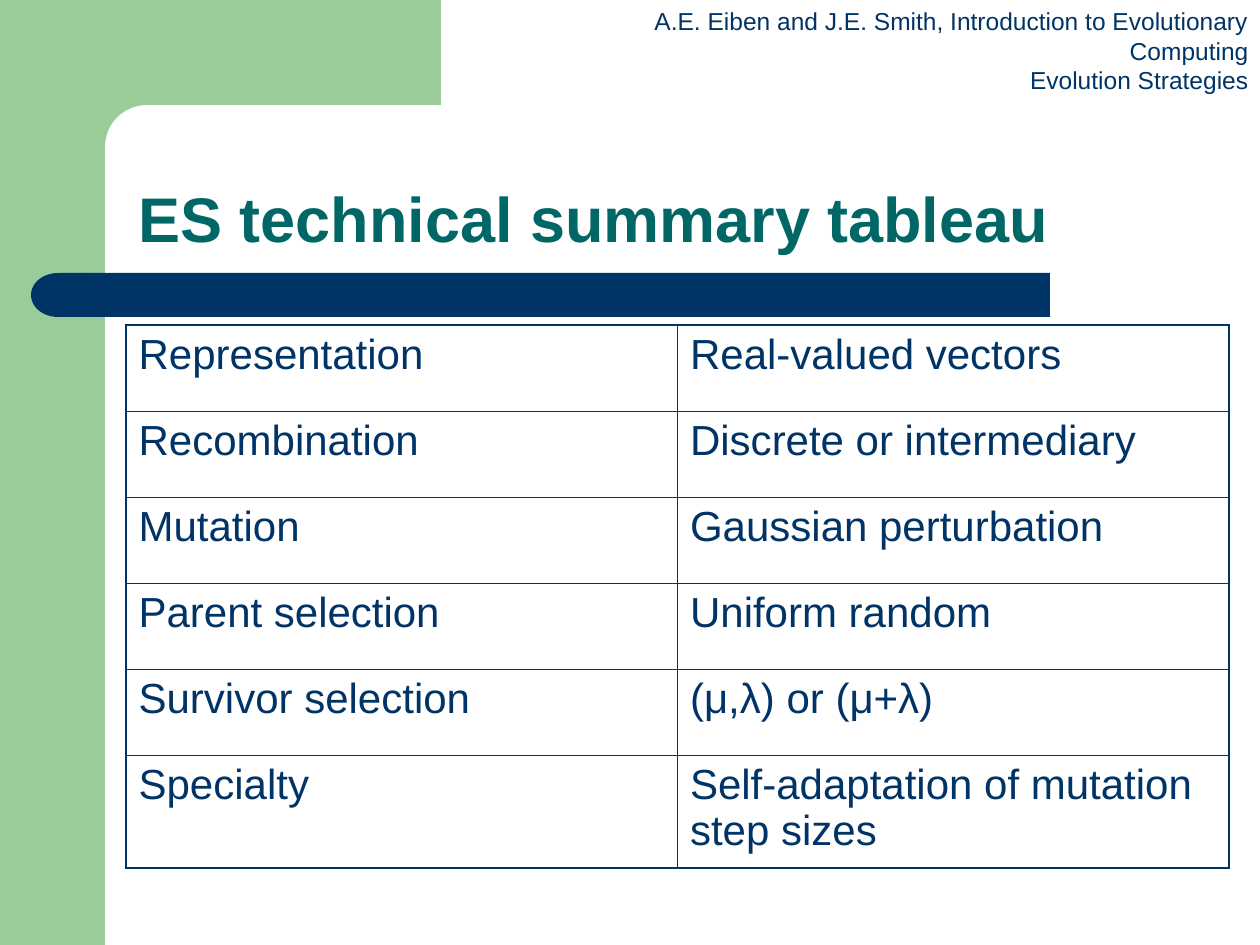
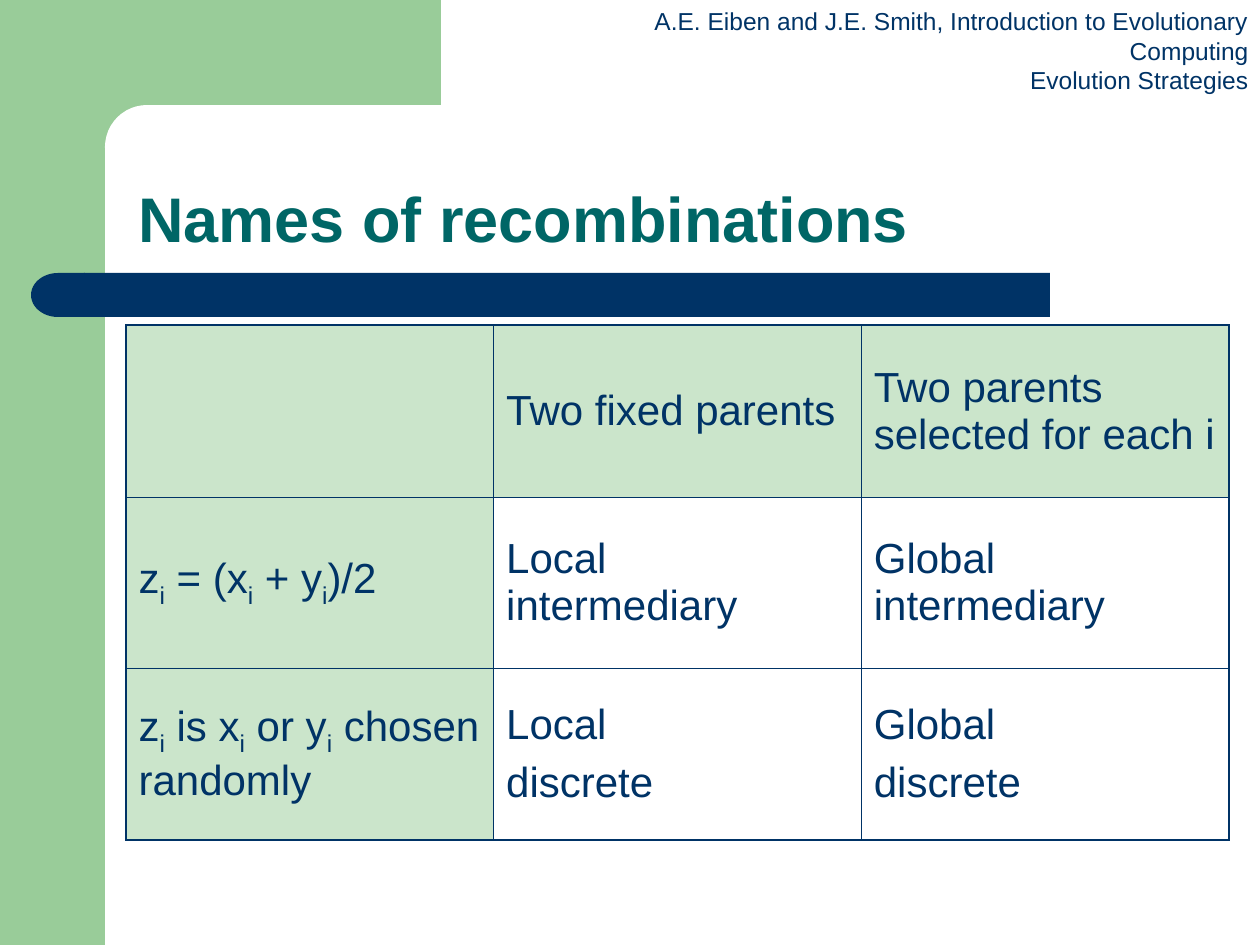
from dataclasses import dataclass

from lxml import etree
from pptx import Presentation
from pptx import util as u
from pptx.dml import color
from pptx.enum import shapes, text
from pptx.oxml import ns

PX = 914400 / 126  # EMU in one px


@dataclass(frozen=True)
class Theme:
    green: str = "99CC99"
    navy: str = "003366"
    teal: str = "006666"
    white: str = "FFFFFF"
    font: str = "Arial"
    title_size: int = 36
    table_size: int = 24
    header_size: int = 14
    outer_line: float = 1.08
    inner_line: float = 0.45


THEME = Theme()
HEADER = "A.E. Eiben and J.E. Smith, Introduction to Evolutionary Computing\nEvolution Strategies"
TABLE_LEFT, TABLE_TOP, TABLE_WIDTH = 126, 325, 1103

SUMMARY = [
    ("Representation", "Real-valued vectors"),
    ("Recombination", "Discrete or intermediary"),
    ("Mutation", "Gaussian perturbation"),
    ("Parent selection", "Uniform random"),
    ("Survivor selection", "(μ,λ) or (μ+λ)"),
    ("Specialty", "Self-adaptation of mutation step sizes"),
]
# An underscore makes the next letter a subscript
RECOMBINATIONS = [
    ("", "Two fixed parents", "Two parents selected for each i"),
    ("z_i = (x_i + y_i)/2", "Local intermediary", "Global intermediary"),
    ("z_i is x_i or y_i chosen randomly", "Local\ndiscrete", "Global\ndiscrete"),
]


def emu(px):
    return u.Emu(round(px * PX))


def rgb(value):
    return color.RGBColor.from_string(value)


def style_runs(paragraph, size, ink, bold=False):
    for run in paragraph.runs:
        run.font.name = THEME.font
        run.font.size = u.Pt(size)
        run.font.bold = bold
        run.font.color.rgb = rgb(ink)


# Shapes and text boxes
def add_block(slide, kind, box, fill, corner=None, rotation=0):
    shape = slide.shapes.add_shape(kind, *map(emu, box))
    shape.shadow.inherit = False
    shape.fill.solid()
    shape.fill.fore_color.rgb = rgb(fill)
    shape.line.fill.background()
    shape.rotation = rotation
    if corner is not None:
        shape.adjustments[0] = corner


def add_text(slide, box, words, size, ink, bold=False, wrap=True,
             align=text.PP_ALIGN.LEFT, anchor=text.MSO_ANCHOR.TOP, spacing=1.0):
    frame = slide.shapes.add_textbox(*map(emu, box)).text_frame
    frame.word_wrap = wrap
    frame.vertical_anchor = anchor
    frame.text = words
    for paragraph in frame.paragraphs:
        paragraph.alignment = align
        paragraph.line_spacing = spacing
        style_runs(paragraph, size, ink, bold)


# Tables
def add_border(cell, side, width):
    properties = cell._tc.get_or_add_tcPr()
    line = etree.SubElement(properties, ns.qn(f"a:ln{side}"), w=str(u.Pt(width)))
    fill = etree.SubElement(line, ns.qn("a:solidFill"))
    etree.SubElement(fill, ns.qn("a:srgbClr"), val=THEME.navy)


def fill_cell(cell, tinted):
    if not tinted:
        cell.fill.background()
        return
    cell.fill.solid()
    cell.fill.fore_color.rgb = rgb(THEME.green)
    fill = cell._tc.tcPr.find(ns.qn("a:solidFill"))
    etree.SubElement(fill[0], ns.qn("a:alpha"), val="50000")


def write_cell(cell, words):
    frame = cell.text_frame
    for index, line in enumerate(words.split("\n")):
        paragraph = frame.add_paragraph() if index else frame.paragraphs[0]
        if index:
            paragraph.space_before = u.Pt(6)
        plain, *marked = line.split("_")
        pieces = [(plain, False)]
        for part in marked:
            pieces += [(part[0], True), (part[1:], False)]
        for piece, lowered in pieces:
            if piece:
                run = paragraph.add_run()
                run.text = piece
                if lowered:
                    run.font._element.set("baseline", "-25000")
        style_runs(paragraph, THEME.table_size, THEME.navy)


def add_grid(slide, rows, heights, anchor, tinted_headings=False):
    row_count, column_count = len(rows), len(rows[0])
    box = TABLE_LEFT, TABLE_TOP, TABLE_WIDTH, sum(heights)
    table = slide.shapes.add_table(row_count, column_count, *map(emu, box)).table
    table.first_row = table.horz_banding = False
    for column in table.columns:
        column.width = emu(TABLE_WIDTH / column_count)
    for r, (height, row) in enumerate(zip(heights, rows)):
        table.rows[r].height = emu(height)
        for c, words in enumerate(row):
            cell = table.cell(r, c)
            cell.vertical_anchor = anchor
            outer = {"L": c == 0, "R": c == column_count - 1,
                     "T": r == 0, "B": r == row_count - 1}
            for side, is_outer in outer.items():
                add_border(cell, side, THEME.outer_line if is_outer else THEME.inner_line)
            fill_cell(cell, tinted_headings and (r == 0 or c == 0))
            write_cell(cell, words)


# Shared frame of every slide
def add_framed_slide(presentation, title):
    slide = presentation.slides.add_slide(presentation.slide_layouts[6])
    kinds = shapes.MSO_SHAPE
    add_block(slide, kinds.RECTANGLE, (0, 0, 105, 945), THEME.green)
    add_block(slide, kinds.RECTANGLE, (94, 0, 347, 147), THEME.green)
    add_block(slide, kinds.ROUNDED_RECTANGLE, (105, 105, 703, 84), THEME.white, corner=0.5)
    add_block(slide, kinds.ROUNDED_RECTANGLE, (84, 273, 966, 44), THEME.navy, corner=0)
    add_block(slide, kinds.FLOWCHART_DELAY, (31, 273, 54, 44), THEME.navy, rotation=180)
    add_text(slide, (517, 0, 744, 72), HEADER, THEME.header_size, THEME.navy,
             wrap=False, align=text.PP_ALIGN.RIGHT)
    add_text(slide, (126, 105, 1103, 157), title, THEME.title_size, THEME.teal,
             bold=True, anchor=text.MSO_ANCHOR.BOTTOM, spacing=0.9)
    return slide


def main():
    presentation = Presentation()
    presentation.slide_width, presentation.slide_height = emu(1260), emu(945)

    # Summary of evolution strategies
    slide = add_framed_slide(presentation, "ES technical summary tableau")
    add_grid(slide, SUMMARY, [86] * 5 + [113], text.MSO_ANCHOR.TOP)

    # Recombination names
    slide = add_framed_slide(presentation, "Names of recombinations")
    add_grid(slide, RECOMBINATIONS, [172, 171, 172], text.MSO_ANCHOR.MIDDLE,
             tinted_headings=True)

    presentation.save("out.pptx")


if __name__ == "__main__":
    main()
